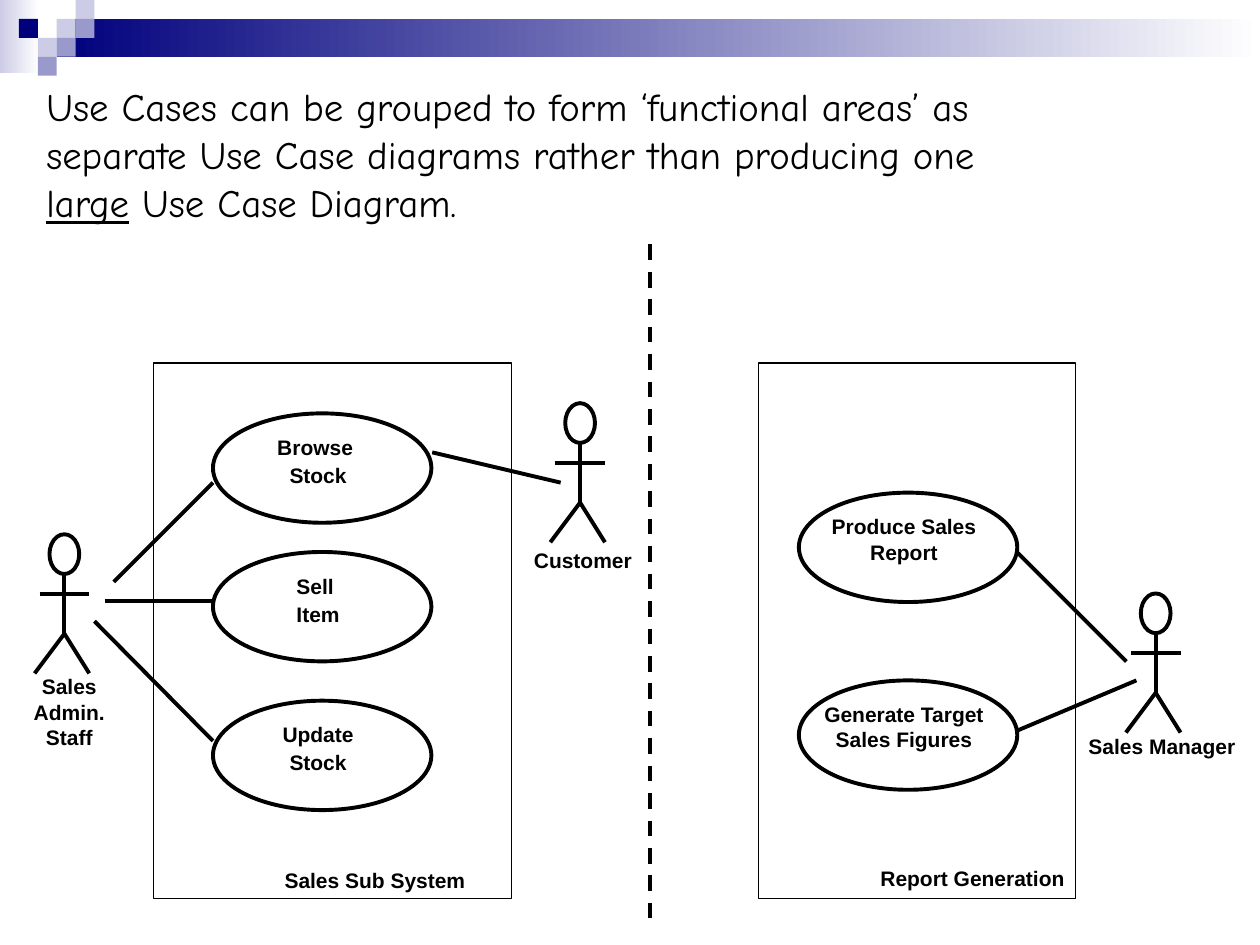
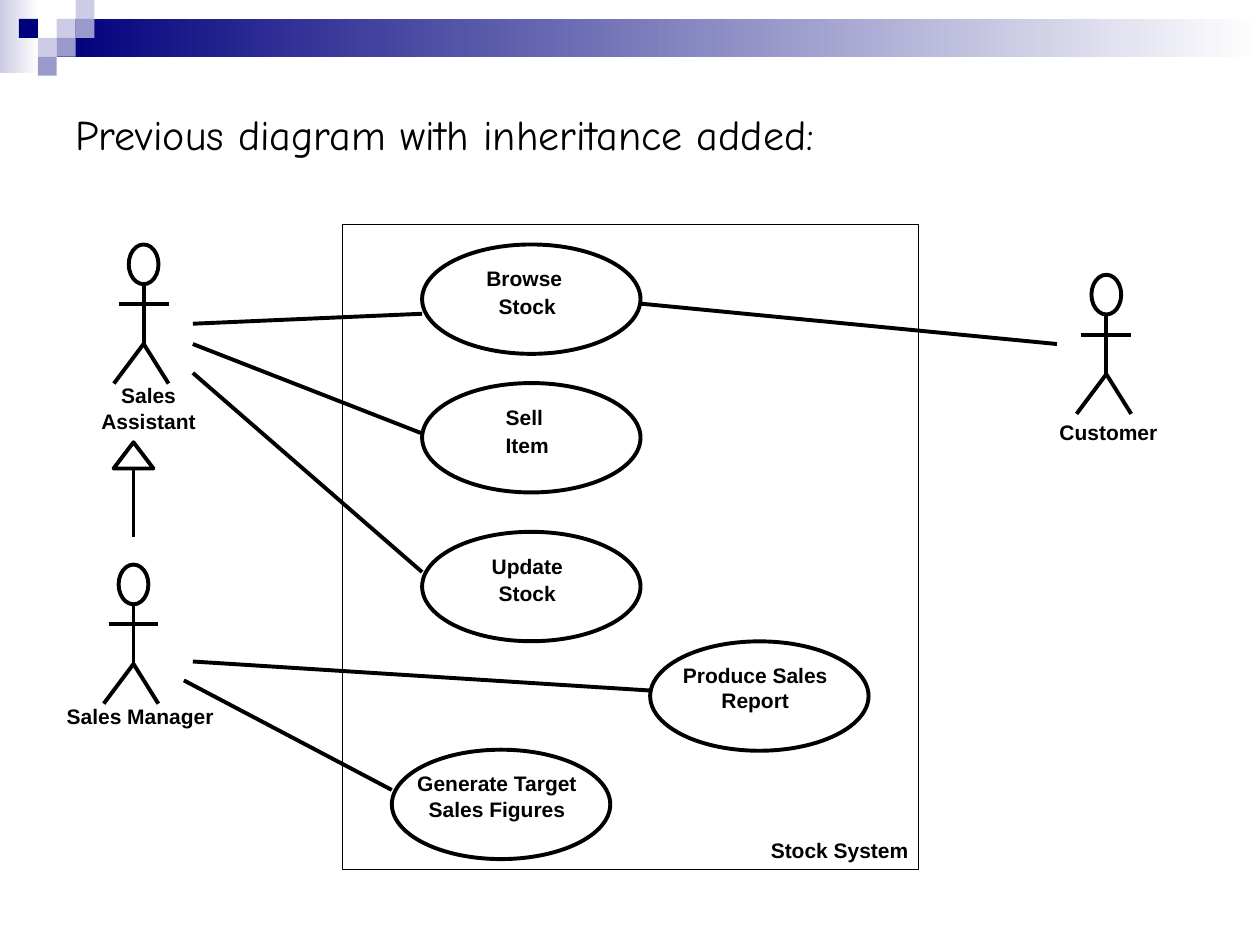
from dataclasses import dataclass

from lxml import etree
from pptx import Presentation
from pptx import util as u
from pptx.dml.color import RGBColor
from pptx.enum import dml, shapes, text
from pptx.oxml.ns import qn


@dataclass(frozen=True)
class Theme:
    ink: RGBColor = RGBColor(0x00, 0x00, 0x00)
    paper: RGBColor = RGBColor(0xFF, 0xFF, 0xFF)
    navy: RGBColor = RGBColor(0x00, 0x00, 0x7D)
    violet: RGBColor = RGBColor(0x99, 0x99, 0xCC)
    lilac: RGBColor = RGBColor(0xCC, 0xCC, 0xE6)
    heading_font: str = "Comic Neue"
    label_font: str = "Arial"
    title_size: float = 24
    statement_size: float = 22.2
    label_size: float = 12
    label_pitch: float = 14.4
    thick: float = 2.25
    thin: float = 0.75


class Diagram:
    """Draws use case diagrams on the current page; lengths are points."""

    def __init__(self, deck, theme):
        self.deck = deck
        self.theme = theme
        self.page = None

    # Page and its shared band
    def new_page(self):
        theme = self.theme
        self.page = self.deck.slides.add_slide(self.deck.slide_layouts[6])
        cell = 10.8
        self.block(0, 0, 22.3, 41.8, theme.lilac, theme.paper)
        self.block(3 * cell, cell, 720 - 3 * cell, 2 * cell, theme.navy, theme.paper)
        checkers = (
            (3, 1, theme.lilac), (4, 0, theme.lilac), (4, 1, theme.violet),
            (2, 2, theme.lilac), (1, 1, theme.navy), (3, 2, theme.violet),
            (2, 3, theme.violet),
        )
        for column, row, colour in checkers:
            self.block(column * cell, row * cell, cell, cell, colour)

    def shape(self, kind, left, top, width, height):
        shape = self.page.shapes.add_shape(
            kind, u.Pt(left), u.Pt(top), u.Pt(width), u.Pt(height))
        shape.shadow.inherit = False
        return shape

    def block(self, left, top, width, height, colour, fade_to=None):
        block = self.shape(shapes.MSO_SHAPE.RECTANGLE, left, top, width, height)
        block.line.fill.background()
        if fade_to is None:
            block.fill.solid()
            block.fill.fore_color.rgb = colour
            return
        block.fill.gradient()
        block.fill.gradient_angle = 0
        for stop, shade in zip(block.fill.gradient_stops, (colour, fade_to)):
            stop.color.rgb = shade

    # Outlines and lines
    def outline(self, kind, left, top, width, height, weight=None):
        shape = self.shape(kind, left, top, width, height)
        shape.fill.background()
        shape.line.color.rgb = self.theme.ink
        shape.line.width = u.Pt(weight or self.theme.thick)

    def line(self, x1, y1, x2, y2, dash=None):
        line = self.page.shapes.add_connector(
            shapes.MSO_CONNECTOR.STRAIGHT, u.Pt(x1), u.Pt(y1), u.Pt(x2), u.Pt(y2))
        line.line.color.rgb = self.theme.ink
        line.line.width = u.Pt(self.theme.thick)
        if dash:
            line.line.dash_style = dash
        etree.SubElement(line._element.spPr, qn("a:effectLst"))

    # Text
    def text_box(self, words, left, top, width, height, font, size,
                 bold=None, centred=False, spacing=None, gap=0):
        box = self.page.shapes.add_textbox(
            u.Pt(left), u.Pt(top), u.Pt(width), u.Pt(height))
        frame = box.text_frame
        frame.word_wrap = True
        frame.text = words
        for index, para in enumerate(frame.paragraphs):
            para.alignment = text.PP_ALIGN.CENTER if centred else text.PP_ALIGN.LEFT
            if spacing:
                para.line_spacing = spacing
            if index:
                para.space_before = u.Pt(gap)
            para.font.name = font
            para.font.size = u.Pt(size)
            para.font.bold = bold
            para.font.color.rgb = self.theme.ink
        return frame

    def label(self, words, left, top, width, height=21.6, centred=False):
        theme = self.theme
        self.text_box(words, left, top, width, height, theme.label_font,
                      theme.label_size, True, centred, u.Pt(theme.label_pitch), 1.5)

    def title(self, words):
        frame = self.text_box(words, 36, 36, 648, 80.6,
                              self.theme.heading_font, self.theme.title_size)
        frame.vertical_anchor = text.MSO_ANCHOR.MIDDLE

    def statement(self, lines, underlined, ending):
        frame = self.text_box("\n".join([*lines, underlined]), 19.4, 49, 669.6, 85,
                              self.theme.heading_font, self.theme.statement_size,
                              spacing=0.8, gap=6)
        para = frame.paragraphs[-1]
        para.runs[0].font.underline = True
        span = para.add_run()
        span.text = ending

    # Use case parts
    def system(self, left, top, width, height):
        self.outline(shapes.MSO_SHAPE.RECTANGLE, left, top, width, height,
                     self.theme.thin)

    def use_case(self, name, left, top):
        self.outline(shapes.MSO_SHAPE.OVAL, left, top, 124.8, 62.5)
        self.label(name, left, top + 8.6, 120.2, 37.4, centred=True)

    def stock_cases(self, left, top):
        names = {"Browse \nStock": 0, "Sell \nItem": 79.2, "Update\nStock": 164.2}
        for name, drop in names.items():
            self.use_case(name, left, top + drop)

    def actor(self, middle, top):
        neck, arms, hip, feet = top + 22.7, top + 34.2, top + 56.8, top + 79.5
        self.outline(shapes.MSO_SHAPE.OVAL, middle - 8.5, top, 17, 22.7)
        self.line(middle, neck, middle, hip)
        self.line(middle - 17, feet, middle, hip)
        self.line(middle, hip, middle + 14.2, feet)
        self.line(middle - 14.2, arms, middle + 14.2, arms)

    def inheritance(self, middle, top, bottom):
        self.outline(shapes.MSO_SHAPE.ISOSCELES_TRIANGLE, middle - 11.4, top, 22.8, 15)
        self.line(middle, top + 15, middle, bottom)


def functional_areas(diagram):
    diagram.new_page()
    diagram.statement(
        ["Use Cases can be grouped to form ‘functional areas’ as",
         "separate Use Case diagrams rather than producing one"],
        "large", " Use Case Diagram.")
    diagram.line(371.5, 139.7, 371.5, 525, dml.MSO_LINE.DASH)

    # Sales sub system
    diagram.system(87.8, 207.4, 204.5, 306)
    diagram.stock_cases(121.7, 236.2)
    diagram.label("Sales Sub System", 155.5, 492.5, 147.6)
    diagram.actor(36.8, 305.3)
    diagram.label("Sales Admin. Staff", 2.9, 381.6, 73.4, 50.4, centred=True)
    diagram.line(65, 332.5, 121.7, 275.8)
    diagram.line(59.8, 343.5, 121.7, 343.5)
    diagram.line(54, 355, 121.7, 423.4)
    diagram.actor(331.5, 230.4)
    diagram.label("Customer", 298, 309.6, 73.4)
    diagram.line(247, 258.5, 320.4, 275.8)

    # Report generation
    diagram.system(433.4, 207.4, 181.4, 306)
    diagram.use_case("Produce Sales Report", 456.5, 281.5)
    diagram.use_case("Generate Target Sales Figures", 456.5, 388.8)
    diagram.label("Report Generation", 496, 491, 147.6)
    diagram.actor(660.4, 339.1)
    diagram.label("Sales Manager", 614.9, 415.4, 102.2)
    diagram.line(581, 315.4, 643.7, 378)
    diagram.line(581, 417.6, 649.4, 388.8)


def inherited_actor(diagram):
    diagram.new_page()
    diagram.title("Previous diagram with inheritance added:")

    # Stock system
    diagram.system(195.8, 128.2, 329, 368.6)
    diagram.stock_cases(241.2, 139.7)
    diagram.use_case("Produce Sales Report", 371.5, 366.5)
    diagram.use_case("Generate Target Sales Figures", 223.9, 428.4)
    diagram.label("Stock System", 433.4, 475.2, 113)

    # Actors
    diagram.actor(82.1, 139.7)
    diagram.label("Sales Assistant", 48.2, 215.3, 73.4, 36, centred=True)
    diagram.inheritance(76.3, 252.7, 306.7)
    diagram.actor(76.3, 322.6)
    diagram.label("Sales Manager", 31, 398.2, 102.2)
    diagram.actor(632.2, 157)
    diagram.label("Customer", 598.3, 236.2, 73.4)

    # Associations
    for start, end in (
        ((110.2, 185), (241.2, 179.3)),
        ((110.2, 196.6), (241.2, 247.7)),
        ((110.2, 213.1), (241.2, 326.9)),
        ((365.8, 173.5), (604, 196.6)),
        ((110.2, 378), (371.5, 394.6)),
        ((105.1, 388.8), (223.9, 451.4)),
    ):
        diagram.line(*start, *end)


def main():
    deck = Presentation()
    deck.slide_width, deck.slide_height = u.Pt(720), u.Pt(540)
    diagram = Diagram(deck, Theme())
    functional_areas(diagram)
    inherited_actor(diagram)
    deck.save("out.pptx")


if __name__ == "__main__":
    main()
